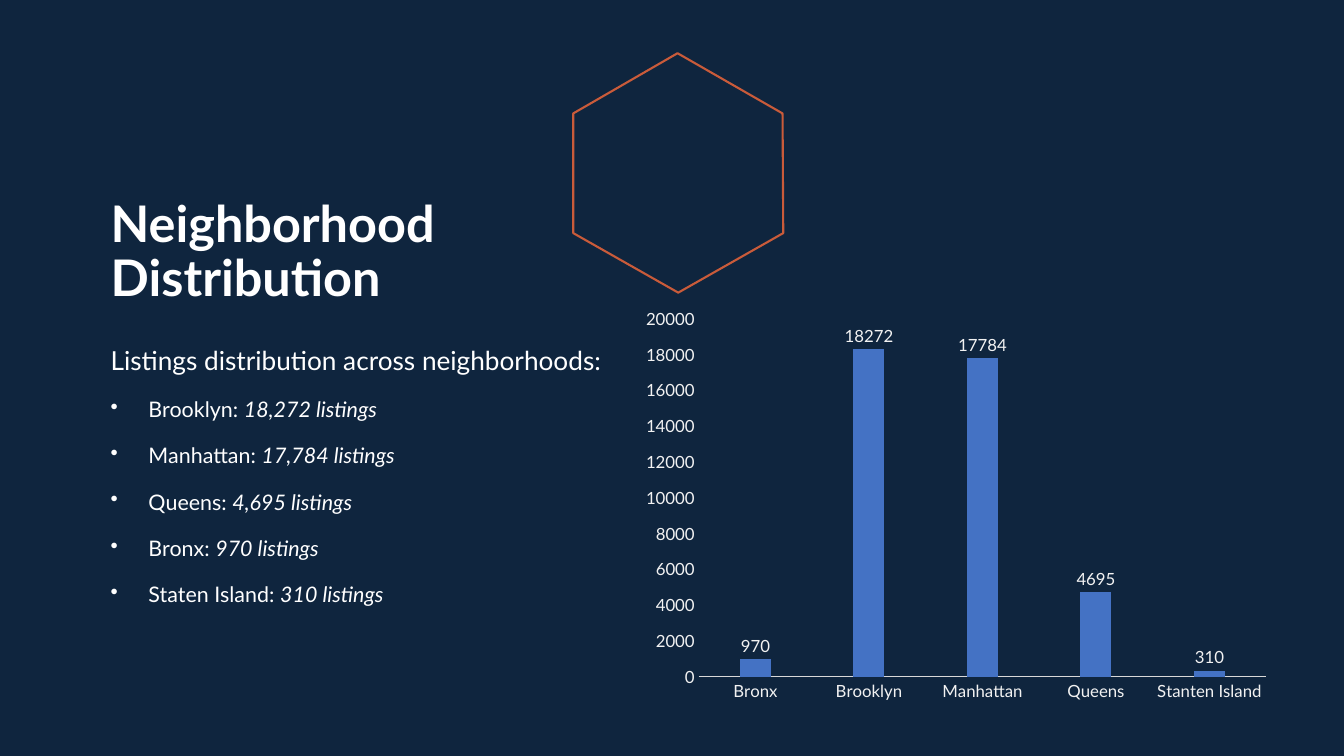
from lxml.etree import SubElement
from pptx import Presentation
from pptx.chart.data import CategoryChartData
from pptx.dml.color import RGBColor
from pptx.enum.chart import XL_CHART_TYPE, XL_LABEL_POSITION, XL_TICK_MARK
from pptx.enum.text import MSO_ANCHOR, MSO_AUTO_SIZE
from pptx.oxml.ns import qn
from pptx.util import Pt

COLORS = {
    "background": "0F253E",
    "accent": "C95B3A",
    "text": "FFFFFF",
    "chart_text": "F2F2F2",
    "axis": "D9D9D9",
    "bar": "4472C4",
}
HEXAGON = [(484, 38), (559, 81), (559.5, 166.5), (484.5, 209), (409.5, 166.5), (409.5, 81)]
BULLETS = [
    ("Brooklyn: ", "18,272 listings"),
    ("Manhattan: ", "17,784 listings"),
    ("Queens: ", "4,695 listings"),
    ("Bronx: ", "970 listings"),
    ("Staten Island: ", "310 listings"),
]
LISTINGS = {
    "Bronx": 970,
    "Brooklyn": 18272,
    "Manhattan": 17784,
    "Queens": 4695,
    "Stanten Island": 310,
}


def color(name):
    return RGBColor.from_string(COLORS[name])


class SlideBuilder:
    font_name = "Lato"
    line_spacing = 0.9

    def __init__(self, slide):
        self.slide = slide
        fill = slide.background.fill
        fill.solid()
        fill.fore_color.rgb = color("background")

    def style_font(self, font, size, color_name, bold=False):
        font.name = self.font_name
        font.size = Pt(size)
        font.bold = bold
        font.color.rgb = color(color_name)

    def outline(self, points):
        """Draw a closed, unfilled polygon."""
        corners = [(Pt(x), Pt(y)) for x, y in points]
        builder = self.slide.shapes.build_freeform(*corners[0])
        builder.add_line_segments(corners[1:], close=True)
        shape = builder.convert_to_shape()
        shape.shadow.inherit = False
        shape.fill.background()
        shape.line.color.rgb = color("accent")
        shape.line.width = Pt(1.5)

    def text_box(self, left, top, width, height, anchor=MSO_ANCHOR.TOP):
        box = self.slide.shapes.add_textbox(Pt(left), Pt(top), Pt(width), Pt(height))
        frame = box.text_frame
        frame.word_wrap = True
        frame.auto_size = MSO_AUTO_SIZE.NONE
        frame.vertical_anchor = anchor
        return frame

    def set_text(self, paragraph, text, size, bold=False):
        paragraph.text = text
        paragraph.line_spacing = self.line_spacing
        self.style_font(paragraph.font, size, "text", bold)

    def bullet(self, frame, label, value, size, indent, gap):
        """Append a bulleted line whose value is in italics."""
        paragraph = frame.add_paragraph()
        self.set_text(paragraph, label, size)
        run = paragraph.add_run()
        run.text = value
        run.font.italic = True
        paragraph.space_before = Pt(gap)
        properties = paragraph._p.get_or_add_pPr()
        properties.set("marL", str(Pt(indent)))
        properties.set("indent", str(-Pt(indent)))
        bullet = SubElement(properties, qn("a:buChar"), char="•")
        properties.find(qn("a:defRPr")).addprevious(bullet)

    def column_chart(self, values, left, top, width, height):
        data = CategoryChartData()
        data.categories = list(values)
        data.add_series("Series 1", list(values.values()))
        chart = self.slide.shapes.add_chart(
            XL_CHART_TYPE.COLUMN_CLUSTERED, Pt(left), Pt(top), Pt(width), Pt(height), data
        ).chart
        chart.has_legend = False
        chart.has_title = False
        self.style_font(chart.font, 10, "chart_text")

        for axis in (chart.category_axis, chart.value_axis):
            axis.has_major_gridlines = False
            axis.major_tick_mark = XL_TICK_MARK.NONE
            axis.minor_tick_mark = XL_TICK_MARK.NONE
            self.style_font(axis.tick_labels.font, 12, "chart_text")
        chart.value_axis.format.line.fill.background()
        axis_line = chart.category_axis.format.line
        axis_line.color.rgb = color("axis")
        axis_line.width = Pt(0.75)

        plot = chart.plots[0]
        plot.vary_by_categories = False
        plot.gap_width = 267
        plot.overlap = -43
        series = plot.series[0]
        series.format.fill.solid()
        series.format.fill.fore_color.rgb = color("bar")
        labels = series.data_labels
        labels.show_value = True
        labels.position = XL_LABEL_POSITION.OUTSIDE_END
        labels.number_format = "General"
        labels.number_format_is_linked = False
        self.style_font(labels.font, 12, "chart_text")


def main():
    presentation = Presentation()
    presentation.slide_width = Pt(960)
    presentation.slide_height = Pt(540)
    builder = SlideBuilder(presentation.slides.add_slide(presentation.slide_layouts[6]))

    builder.outline(HEXAGON)
    title = builder.text_box(72, 57.6, 309.6, 165.6, MSO_ANCHOR.BOTTOM)
    builder.set_text(title.paragraphs[0], "Neighborhood Distribution", 36, bold=True)

    body = builder.text_box(72, 244.8, 380, 208.8)
    builder.set_text(body.paragraphs[0], "Listings distribution across neighborhoods:", 18.7)
    for label, value in BULLETS:
        builder.bullet(body, label, value, size=15.3, indent=27, gap=16.5)

    builder.column_chart(LISTINGS, 452.2, 214.6, 461.5, 291.6)
    presentation.save("out.pptx")


if __name__ == "__main__":
    main()
